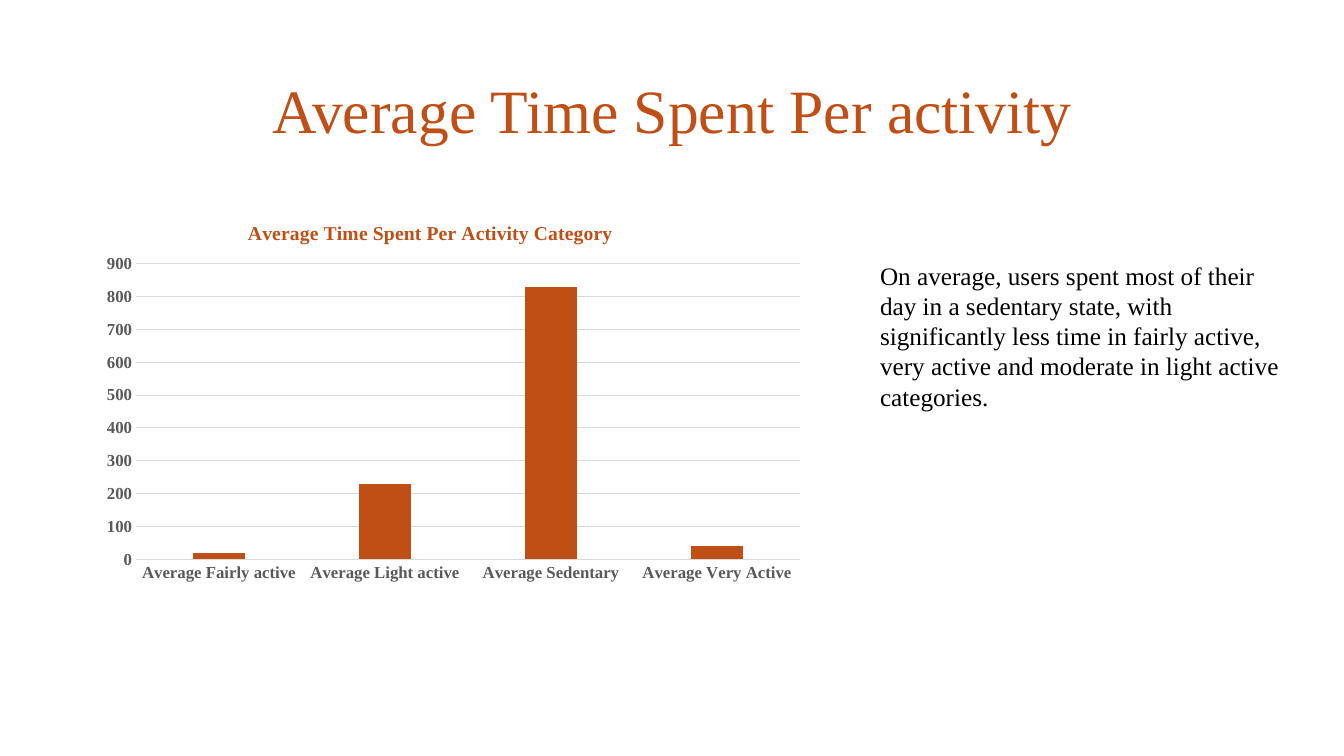
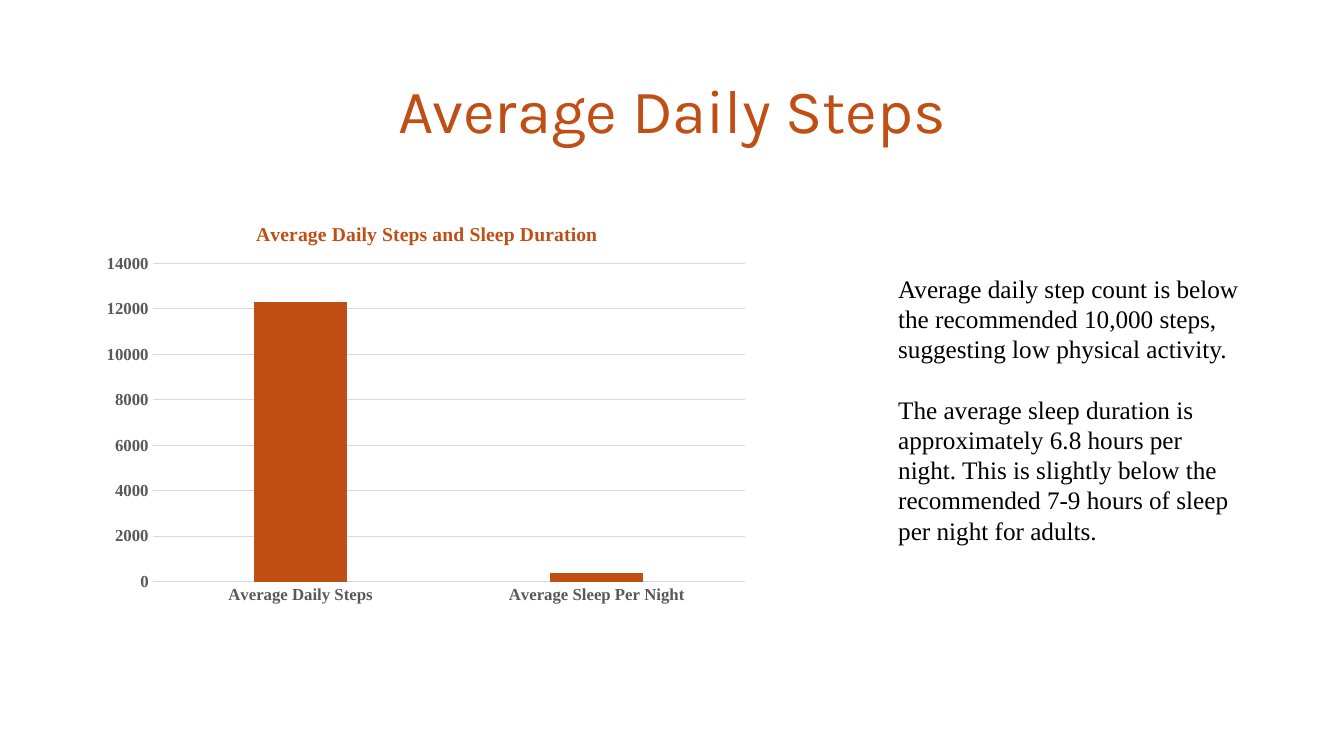
from lxml import etree
from pptx import Presentation
from pptx.chart.data import CategoryChartData
from pptx.dml.color import RGBColor
from pptx.enum.chart import XL_CHART_TYPE, XL_TICK_MARK
from pptx.enum.text import MSO_ANCHOR, PP_ALIGN
from pptx.oxml.ns import qn
from pptx.util import Inches, Pt

COLUMNS = XL_CHART_TYPE.COLUMN_CLUSTERED
NO_TICK = XL_TICK_MARK.NONE
MIDDLE, CENTER = MSO_ANCHOR.MIDDLE, PP_ALIGN.CENTER
RUST, BLACK, GRAY, PALE = "C04F15", "000000", "595959", "D9D9D9"
SERIF, SANS = "Times New Roman", "Karla"
LINE = Pt(21.6)

CHART_TITLE_FONT = {"name": SERIF, "size": Pt(14), "bold": True, "color": RUST}
AXIS_FONT = {"name": SERIF, "size": Pt(12), "bold": True, "color": GRAY}
BODY_FONT = {"name": SERIF, "size": Pt(18), "color": BLACK}

SLIDES = [
    {
        "title": "Average Time Spent Per activity",
        "title_font": SERIF,
        "chart_title": "Average Time Spent Per Activity Category",
        "values": {
            "Average Fairly active": 20,
            "Average Light active": 230,
            "Average Sedentary": 830,
            "Average Very Active": 40,
        },
        "chart_size": (7.16, 3.86),
        "chart_title_at": {"x": 0.21, "y": 0.04},
        "plot_at": {"x": 0.06, "y": 0.16, "w": 0.92, "h": 0.76},
        "axis": (900, 100),
        "text_at": (8.63, 2.53, 4.21, 1.92),
        "text": [
            "On average, users spent most of their day in a sedentary state, with "
            "significantly less time in fairly active, very active and moderate in "
            "light active categories.",
        ],
    },
    {
        "title": "Average Daily Steps",
        "title_font": SANS,
        "chart_title": "Average Daily Steps and Sleep Duration",
        "values": {"Average Daily Steps": 12300, "Average Sleep Per Night": 400},
        "chart_size": (6.6, 4.1),
        "chart_title_at": {"x": 0.24, "y": 0.04},
        "plot_at": {"x": 0.09, "y": 0.15, "w": 0.89, "h": 0.77},
        "axis": (14000, 2000),
        "text_at": (8.81, 2.66, 3.61, 3.13),
        "text": [
            "Average daily step count is below the recommended 10,000 steps, "
            "suggesting low physical activity.",
            "The average sleep duration is approximately 6.8 hours per night. This is "
            "slightly below the recommended 7-9 hours of sleep per night for adults.",
        ],
    },
]


def style(font, formats):
    for name, value in formats.items():
        if name == "color":
            font.color.rgb = RGBColor.from_string(value)
        else:
            setattr(font, name, value)


def set_layout(element, follows, fractions, inner=False):
    """Place a chart part by fractions of the chart, after the child named follows."""
    for old in element.findall(qn("c:layout")):
        element.remove(old)
    layout = etree.Element(qn("c:layout"))
    manual = etree.SubElement(layout, qn("c:manualLayout"))
    settings = {"layoutTarget": "inner"} if inner else {}
    settings.update({"xMode": "edge", "yMode": "edge"}, **fractions)
    for tag, value in settings.items():
        etree.SubElement(manual, qn(f"c:{tag}")).set("val", str(value))
    before = element.find(qn(follows)) if follows else None
    element.insert(0 if before is None else element.index(before) + 1, layout)


deck = Presentation()
deck.slide_width, deck.slide_height = Inches(13.33), Inches(7.5)
title_only = deck.slide_layouts[5]

for content in SLIDES:
    page = deck.slides.add_slide(title_only)

    title = page.shapes.title
    title.left, title.top = Inches(0.92), Inches(0.4)
    title.width, title.height = Inches(11.5), Inches(1.45)
    title.text_frame.text = content["title"]
    title.text_frame.vertical_anchor = MIDDLE
    para = title.text_frame.paragraphs[0]
    para.alignment, para.line_spacing = CENTER, 0.9
    style(para.runs[0].font, {"name": content["title_font"], "size": Pt(44), "color": RUST})

    data = CategoryChartData()
    data.categories = list(content["values"])
    data.add_series("Series 1", list(content["values"].values()))
    width, height = content["chart_size"]
    chart = page.shapes.add_chart(
        COLUMNS, Inches(0.92), Inches(2), Inches(width), Inches(height), data
    ).chart
    chart.has_legend = False
    style(chart.font, {"name": SANS, "size": Pt(10), "color": BLACK})

    chart.has_title = True
    heading = chart.chart_title
    heading.text_frame.text = content["chart_title"]
    style(heading.text_frame.paragraphs[0].runs[0].font, CHART_TITLE_FONT)
    heading.include_in_layout = False
    set_layout(heading._element, "c:tx", content["chart_title_at"])
    set_layout(chart._chartSpace.chart.plotArea, None, content["plot_at"], inner=True)

    plot = chart.plots[0]
    plot.gap_width, plot.overlap, plot.vary_by_categories = 219, -27, False
    bars = plot.series[0].format.fill
    bars.solid()
    bars.fore_color.rgb = RGBColor.from_string(RUST)

    categories, values = chart.category_axis, chart.value_axis
    for axis in (categories, values):
        axis.major_tick_mark = axis.minor_tick_mark = NO_TICK
        style(axis.tick_labels.font, AXIS_FONT)
    values.minimum_scale = 0
    values.maximum_scale, values.major_unit = content["axis"]
    values.format.line.fill.background()
    for line in (categories.format.line, values.major_gridlines.format.line):
        line.width = Pt(0.75)
        line.color.rgb = RGBColor.from_string(PALE)

    box = page.shapes.add_textbox(*map(Inches, content["text_at"]))
    frame = box.text_frame
    frame.word_wrap = True
    for index, text in enumerate(content["text"]):
        para = frame.add_paragraph() if index else frame.paragraphs[0]
        para.line_spacing = LINE
        para.space_before = LINE if index else Pt(0)
        span = para.add_run()
        span.text = text
        style(span.font, BODY_FONT)

deck.save("out.pptx")
